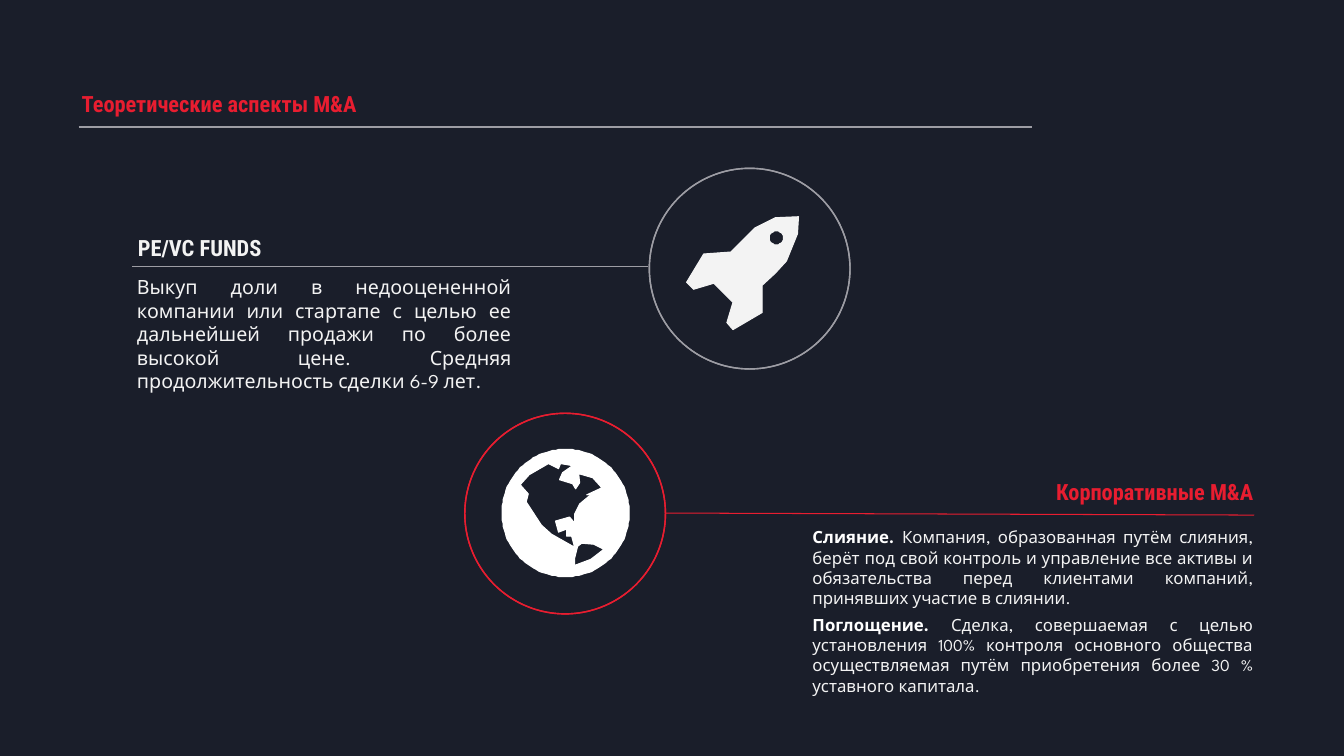
from math import cos, pi, sin

from lxml.etree import SubElement
from pptx import Presentation
from pptx.dml.color import RGBColor
from pptx.enum.shapes import MSO_CONNECTOR, MSO_SHAPE
from pptx.enum.text import MSO_ANCHOR, MSO_AUTO_SIZE, PP_ALIGN
from pptx.oxml.ns import qn
from pptx.util import Inches, Pt

NAVY, GREY, RED, PALE, WHITE = "1A1E2A", "9D9DA4", "E81D30", "F3F3F3", "FFFFFF"
HEADING = {"name": "Roboto Condensed", "size": Pt(16), "bold": True}
BODY = {"name": "League Spartan", "bold": False}
RING = 1.99

ROCKET_HULL = [
    (88, 57), (75, 69), (75, 96), (46, 113), (40, 106), (46, 86), (27, 67),
    (7, 73), (0, 66), (17, 38), (44, 36), (68, 12), (88, 2), (111, 1),
    (110, 18), (99, 45),
]
NORTH_AMERICA = [
    (84, 45), (99, 38), (90, 28), (76, 24), (77, 33), (73, 39), (70, 34),
    (57, 30), (60, 23), (70, 16), (58, 14), (56, 19), (46, 14), (27, 25),
    (18, 35), (26, 44), (24, 52), (39, 75), (49, 84), (72, 97), (69, 86),
    (64, 86), (64, 79), (56, 82), (53, 71), (67, 67), (72, 73), (72, 64),
    (77, 54), (89, 44),
]
SOUTH_AMERICA = [
    (101, 99), (91, 94), (79, 93), (75, 96), (72, 108), (72, 115), (88, 109),
]


def color(value):
    return RGBColor.from_string(value)


def circle(x, y, radius, steps):
    angles = [2 * pi * step / steps for step in range(steps)]
    return [(x + radius * cos(a), y + radius * sin(a)) for a in angles]


def write(frame, runs, align):
    settings = {"word_wrap": True, "auto_size": MSO_AUTO_SIZE.NONE,
                "vertical_anchor": MSO_ANCHOR.TOP}
    for key, value in settings.items():
        setattr(frame, key, value)
    paragraph = frame.paragraphs[0]
    paragraph.alignment = align
    for words, font, ink in runs:
        run = paragraph.add_run()
        run.text = words
        for key, value in font.items():
            setattr(run.font, key, value)
        run.font.color.rgb = color(ink)


def add_text(slide, box, runs, align=PP_ALIGN.LEFT):
    area = slide.shapes.add_textbox(*map(Inches, box))
    write(area.text_frame, runs, align)


def add_rule(slide, start, end, ink, weight):
    rule = slide.shapes.add_connector(
        MSO_CONNECTOR.STRAIGHT, *map(Inches, start + end))
    rule.line.color.rgb = color(ink)
    rule.line.width = Pt(weight)
    SubElement(rule._element.spPr, qn("a:effectLst"))


def paint(shape, fill, ink, weight):
    shape.shadow.inherit = False
    shape.fill.solid()
    shape.fill.fore_color.rgb = color(fill)
    shape.line.color.rgb = color(ink)
    shape.line.width = Pt(weight)


def add_ring(slide, left, top, ink):
    ring = slide.shapes.add_shape(
        MSO_SHAPE.DONUT, *map(Inches, (left, top, RING, RING)))
    ring.adjustments[0] = 0
    paint(ring, NAVY, ink, 1)


def add_icon(slide, left, top, contours, ink):
    first, *holes = contours
    outline = slide.shapes.build_freeform(*first[0], scale=Inches(0.01))
    outline.add_line_segments(first[1:], close=True)
    for hole in holes:
        outline.move_to(*hole[0])
        outline.add_line_segments(hole[1:], close=True)
    icon = outline.convert_to_shape(Inches(left), Inches(top))
    paint(icon, ink, ink, 0.75)


def add_header(slide, left, top):
    title = slide.shapes.title
    position = {"left": left, "top": top, "width": 4.27, "height": 0.37}
    for key, value in position.items():
        setattr(title, key, Inches(value))
    write(title.text_frame, [("Теоретические аспекты M&A", HEADING, RED)],
          PP_ALIGN.LEFT)
    add_rule(slide, (left + 0.07, top + 0.42), (left + 9.53, top + 0.42),
             GREY, 2)


def add_funds(slide, left, top):
    ring_left = left + 5.18
    add_ring(slide, ring_left, top, GREY)
    add_text(slide, (left + 0.01, top + 0.6, 5.1, 0.37),
             [("PE/VC FUNDS", HEADING, PALE)])
    add_text(slide, (left, top + 1.01, 3.91, 1.28), [(
        "Выкуп доли в недооцененной компании или стартапе с целью ее "
        "дальнейшей продажи по более высокой цене. Средняя "
        "продолжительность сделки 6-9 лет.",
        BODY | {"size": Pt(14)}, PALE)], PP_ALIGN.JUSTIFY)
    add_rule(slide, (left + 0.05, top + 0.97), (ring_left - 0.01, top + 0.97),
             GREY, 0.75)
    add_icon(slide, ring_left + 0.37, top + 0.47,
             [ROCKET_HULL, circle(89, 22, 7, 24)], PALE)


def add_corporate(slide, left, top):
    add_ring(slide, left, top, RED)
    add_icon(slide, left + 0.37, top + 0.36,
             [circle(63, 63, 63, 120), NORTH_AMERICA, SOUTH_AMERICA], WHITE)
    add_text(slide, (left + 1.78, top + 0.59, 6.14, 0.37),
             [("Корпоративные M&A", HEADING, RED)], PP_ALIGN.RIGHT)
    add_rule(slide, (left + RING, top + 0.99), (left + 7.83, top + 1.01),
             RED, 0.75)
    deals = [
        ("Слияние. ",
         "Компания, образованная путём слияния, берёт под свой контроль и "
         "управление все активы и обязательства перед клиентами компаний, "
         "принявших участие в слиянии."),
        ("Поглощение. ",
         "Сделка, совершаемая с целью установления 100% контроля основного "
         "общества осуществляемая путём приобретения более 30 % уставного "
         "капитала."),
    ]
    font = BODY | {"size": Pt(12)}
    for row, (term, meaning) in enumerate(deals):
        add_text(slide, (left + 3.35, top + 1.08 + 0.87 * row, 4.57, 0.91),
                 [(term, font | {"bold": True}, WHITE),
                  (meaning, font, PALE)], PP_ALIGN.JUSTIFY)


def main():
    deck = Presentation()
    deck.slide_width, deck.slide_height = Inches(13.33), Inches(7.5)
    slide = deck.slides.add_slide(deck.slide_layouts[5])
    slide.background.fill.solid()
    slide.background.fill.fore_color.rgb = color(NAVY)
    add_header(slide, 0.71, 0.84)
    add_funds(slide, 1.26, 1.67)
    add_corporate(slide, 4.61, 4.1)
    deck.save("out.pptx")


if __name__ == "__main__":
    main()
